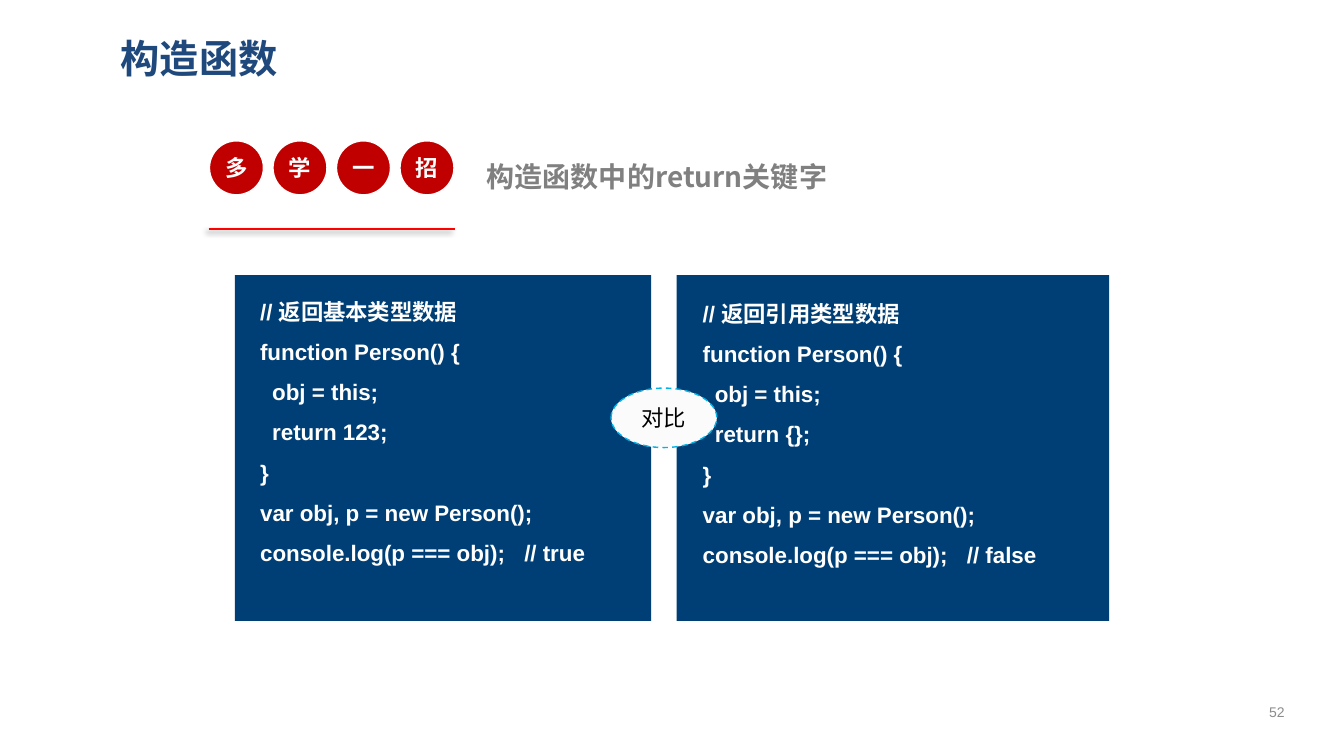
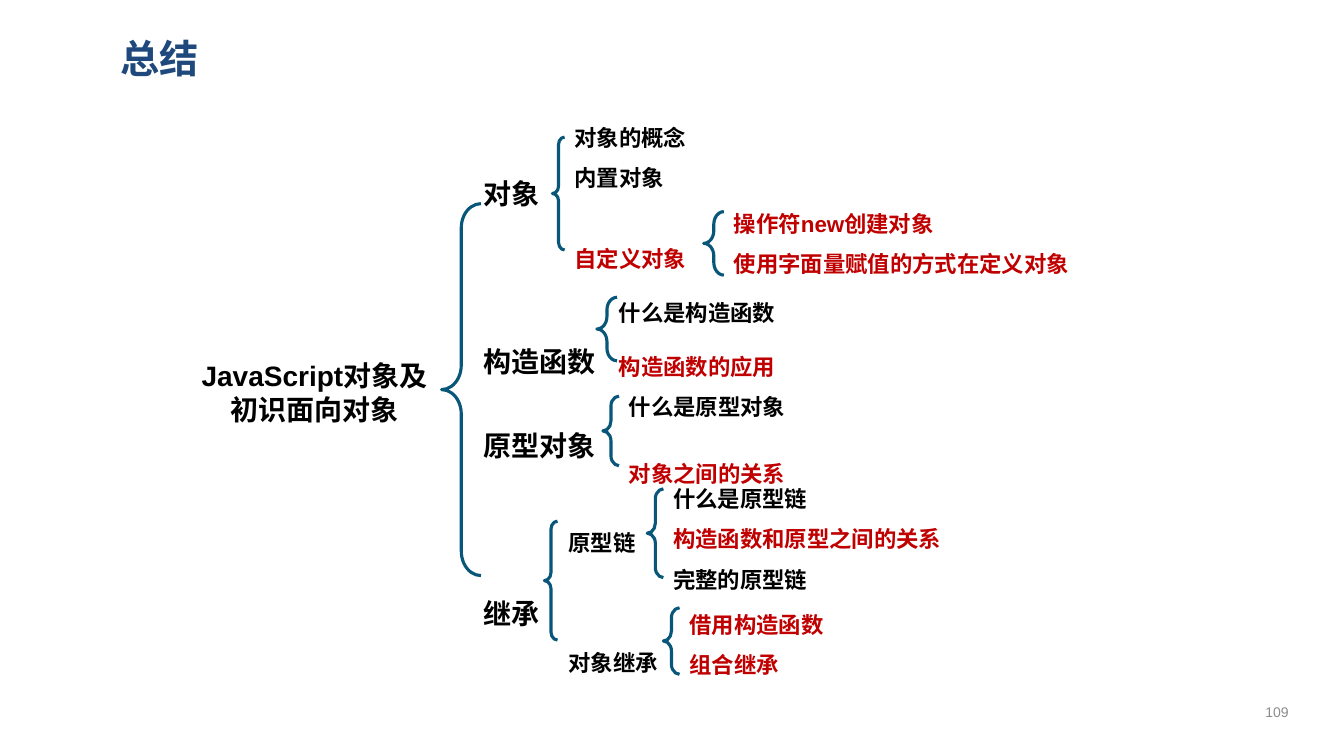
from lxml import etree
from pptx import Presentation
from pptx.dml.color import RGBColor
from pptx.enum.dml import MSO_LINE
from pptx.enum.shapes import MSO_CONNECTOR, MSO_SHAPE
from pptx.enum.text import MSO_ANCHOR, PP_ALIGN
from pptx.oxml.ns import qn
from pptx.util import Inches, Pt

OVAL, RECT, BRACE = MSO_SHAPE.OVAL, MSO_SHAPE.RECTANGLE, MSO_SHAPE.LEFT_BRACE
STRAIGHT = MSO_CONNECTOR.STRAIGHT
LEFT, CENTER = PP_ALIGN.LEFT, PP_ALIGN.CENTER
TOP, MIDDLE = MSO_ANCHOR.TOP, MSO_ANCHOR.MIDDLE
DASH = MSO_LINE.DASH

WHITE = RGBColor(0xFF, 0xFF, 0xFF)
BLACK = RGBColor(0, 0, 0)
TITLE_BLUE = RGBColor(0x1F, 0x49, 0x7D)
PANEL_BLUE = RGBColor(0x00, 0x3F, 0x75)
BRACE_BLUE = RGBColor(0x08, 0x57, 0x7A)
SKY_BLUE = RGBColor(0x00, 0xB4, 0xE9)
DARK_RED = RGBColor(0xC0, 0, 0)
RED = RGBColor(0xFF, 0, 0)
GRAY = RGBColor(0x80, 0x80, 0x80)
NUMBER_GRAY = RGBColor(0x8C, 0x8C, 0x8C)
PALE = RGBColor(0xFB, 0xFB, 0xFB)

ARIAL, CJK = "Arial", "Noto Sans CJK SC"
MARGINS = (0.1, 0.05, 0.1, 0.05)
CODE_INDENT, COMMENT_TAB = 0.12, 2.62

# Each topic list: box, size, lines of (text, line spacing, colour)
TOPICS = [
    ((4.7, 1.7, 1.88, 4.29), 20, [
        ("对象", 1, BLACK), ("构造函数", 5, BLACK),
        ("原型对象", 2.5, BLACK), ("继承", 5, BLACK)]),
    ((5.54, 4.93, 1.54, 1.6), 16, [
        ("原型链", 2, BLACK), ("对象继承", 4.5, BLACK)]),
    ((5.6, 1.05, 1.69, 1.57), 16, [
        ("对象的概念", 1.5, BLACK), ("内置对象", 1.5, BLACK),
        ("自定义对象", 3, DARK_RED)]),
    ((7.18, 1.9, 3.58, 0.86), 16, [
        ("操作符new创建对象", 1.5, DARK_RED),
        ("使用字面量赋值的方式在定义对象", 1.5, DARK_RED)]),
    ((6.14, 3.72, 2.56, 1.06), 16, [
        ("什么是原型对象", 1.5, BLACK), ("对象之间的关系", 2.5, DARK_RED)]),
    ((6.04, 2.65, 4.12, 1.1), 16, [
        ("什么是构造函数", 2, BLACK), ("构造函数的应用", 2, DARK_RED)]),
    ((6.58, 4.63, 3.32, 1.31), 16, [
        ("什么是原型链", 1.5, BLACK),
        ("构造函数和原型之间的关系", 1.5, DARK_RED),
        ("完整的原型链", 1.5, BLACK)]),
    ((6.74, 5.88, 3.32, 0.86), 16, [
        ("借用构造函数", 1.5, DARK_RED), ("组合继承", 1.5, DARK_RED)]),
]
BRACES = [
    (4.38, 2.02, 0.39, 3.69), (5.48, 1.36, 0.12, 1.12),
    (6.98, 2.1, 0.2, 0.63), (5.92, 2.95, 0.2, 0.63),
    (5.98, 3.93, 0.16, 0.69), (5.4, 5.17, 0.13, 1.18),
    (6.42, 4.85, 0.16, 0.88), (6.58, 6.03, 0.16, 0.66),
]


def set_attrs(obj, values):
    for name, value in values.items():
        setattr(obj, name, value)


def set_frame(tf, anchor=TOP, margins=MARGINS):
    left, top, right, bottom = map(Inches, margins)
    set_attrs(tf, {"word_wrap": True, "vertical_anchor": anchor,
                   "margin_left": left, "margin_top": top,
                   "margin_right": right, "margin_bottom": bottom})


def add_line(tf, text, size, color, bold=True, font=ARIAL, align=LEFT,
             spacing=1):
    """Fill the first paragraph if it is empty, otherwise append one."""
    p = tf.paragraphs[0] if not tf.text else tf.add_paragraph()
    set_attrs(p, {"alignment": align, "line_spacing": float(spacing)})
    r = p.add_run()
    r.text = text
    set_attrs(r.font, {"name": font, "size": Pt(size), "bold": bold})
    r.font.color.rgb = color
    etree.SubElement(r.font._element, qn("a:ea"), typeface=CJK)
    return p


def add_text(s, box, anchor=TOP):
    tf = s.shapes.add_textbox(*map(Inches, box)).text_frame
    set_frame(tf, anchor)
    return tf


def add_shape(s, kind, box, fill=None, line=None, width=1):
    sp = s.shapes.add_shape(kind, *map(Inches, box))
    sp.shadow.inherit = False
    for part, color in ((sp.fill, fill), (sp.line.fill, line)):
        if color is None:
            part.background()
        else:
            part.solid()
            part.fore_color.rgb = color
    if line is not None:
        sp.line.width = Pt(width)
    return sp


def add_badge(s, box, text, fill, line, width, color, bold):
    sp = add_shape(s, OVAL, box, fill, line, width)
    set_frame(sp.text_frame, MIDDLE, (0, 0, 0, 0))
    add_line(sp.text_frame, text, 16, color, bold, align=CENTER)
    return sp


def add_underline(s, x1, x2, y):
    """Red rule with a soft shadow to the lower left."""
    line = s.shapes.add_connector(STRAIGHT, *map(Inches, (x1, y, x2, y)))
    line.line.color.rgb = RED
    line.line.width = Pt(1.5)
    effects = etree.SubElement(line._element.spPr, qn("a:effectLst"))
    shadow = etree.SubElement(
        effects, qn("a:outerShdw"), blurRad=str(Pt(4)), dist=str(Pt(3)),
        dir=str(135 * 60000), algn="tr", rotWithShape="0")
    color = etree.SubElement(shadow, qn("a:srgbClr"), val=str(BLACK))
    etree.SubElement(color, qn("a:alpha"), val="40000")


def add_code_panel(s, box, margins, kind, value, result):
    sp = add_shape(s, RECT, box, PANEL_BLUE)
    tf = sp.text_frame
    set_frame(tf, margins=margins)
    lines = [(f"// 返回{kind}类型数据", 0), ("function Person() {", 0),
             ("obj = this;", CODE_INDENT),
             (f"return {value};", CODE_INDENT), ("}", 0),
             ("var obj, p = new Person();", 0),
             (f"console.log(p === obj);\t// {result}", 0)]
    for text, indent in lines:
        p = add_line(tf, text, 16, WHITE, spacing=1.5)
        pPr = p._p.get_or_add_pPr()
        pPr.set("marL", str(Inches(indent)))
        if "\t" in text:
            tabs = etree.SubElement(pPr, qn("a:tabLst"))
            etree.SubElement(tabs, qn("a:tab"),
                             pos=str(Inches(COMMENT_TAB)), algn="l")


def add_slide(prs, title, number):
    s = prs.slides.add_slide(prs.slide_layouts[6])
    add_line(add_text(s, (1.1, 0.24, 11.65, 0.67), MIDDLE), title, 28,
             TITLE_BLUE, font=CJK)
    add_line(add_text(s, (12.34, 6.86, 0.65, 0.4), MIDDLE), str(number), 10,
             NUMBER_GRAY, bold=False, align=CENTER)
    return s


def build_return_slide(prs):
    s = add_slide(prs, "构造函数", 52)
    for i, char in enumerate("多学一招"):
        add_badge(s, (2.07 + 0.63 * i, 1.39, 0.55, 0.55), char,
                  DARK_RED, WHITE, 2, WHITE, True)
    add_underline(s, 2.07, 4.51, 2.27)
    add_line(add_text(s, (4.73, 1.53, 6.43, 0.44)),
             "构造函数中的return关键字", 20, GRAY, font=CJK)
    add_code_panel(s, (2.33, 2.73, 4.13, 3.43), (0.25, 0.09, 0.1, 0.05),
                   "基本", "123", "true")
    add_code_panel(s, (6.71, 2.73, 4.29, 3.43), (0.26, 0.11, 0.1, 0.05),
                   "引用", "{}", "false")
    versus = add_badge(s, (6.06, 3.85, 1.05, 0.59), "对比",
                       PALE, SKY_BLUE, 1, BLACK, False)
    versus.line.dash_style = DASH


def build_summary_slide(prs):
    s = add_slide(prs, "总结", 109)
    add_line(add_text(s, (1.78, 3.51, 2.68, 0.77)),
             "JavaScript对象及初识面向对象", 20, BLACK, align=CENTER)
    for box, size, lines in TOPICS:
        tf = add_text(s, box)
        for text, spacing, color in lines:
            add_line(tf, text, size, color, spacing=spacing)
    for box in BRACES:
        brace = add_shape(s, BRACE, box, line=BRACE_BLUE, width=2.25)
        brace.adjustments[0] = 0.62


def main():
    prs = Presentation()
    set_attrs(prs, {"slide_width": Inches(13.33),
                    "slide_height": Inches(7.5)})
    build_return_slide(prs)
    build_summary_slide(prs)
    prs.save("out.pptx")


if __name__ == "__main__":
    main()
